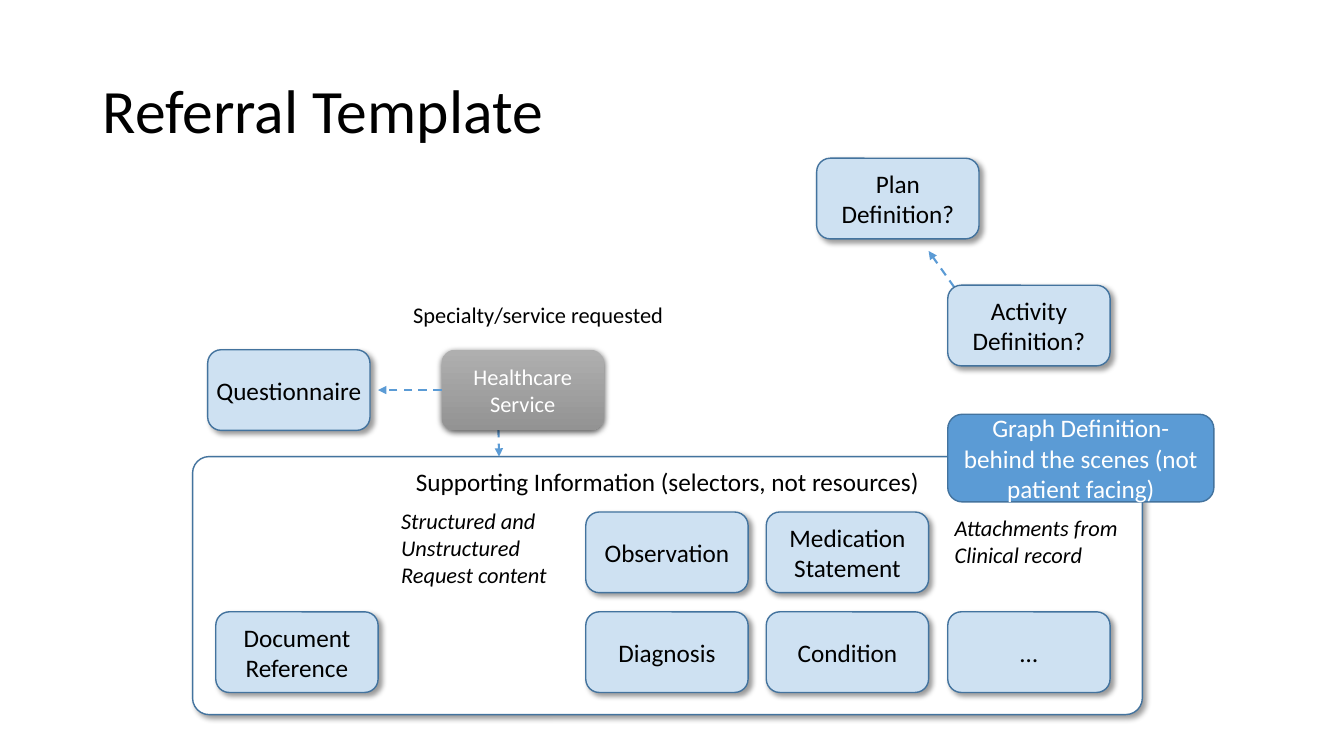
from lxml.etree import SubElement
from pptx import Presentation
from pptx.dml.color import RGBColor
from pptx.enum.dml import MSO_LINE_DASH_STYLE as Dash
from pptx.enum.shapes import MSO_CONNECTOR_TYPE as Connector, MSO_SHAPE as Shape
from pptx.enum.text import MSO_ANCHOR as Anchor, PP_ALIGN as Align
from pptx.oxml.ns import qn
from pptx.util import Inches, Pt

BLACK = RGBColor(0x00, 0x00, 0x00)
WHITE = RGBColor(0xFF, 0xFF, 0xFF)
PALE_BLUE = RGBColor(0xCE, 0xE1, 0xF2)
BLUE = RGBColor(0x5B, 0x9B, 0xD5)
DARK_BLUE = RGBColor(0x43, 0x73, 0x9E)
LIGHT_GRAY = RGBColor(0xAF, 0xAF, 0xAF)
DARK_GRAY = RGBColor(0x93, 0x93, 0x93)

FONT = "Calibri"
BOX_SIZE = (1.61, 0.8)
SOFT_SHADOW = {"blur": 4, "distance": 3, "angle": 45, "alpha": 40}
DEEP_SHADOW = {"blur": 4.5, "distance": 1.5, "angle": 90, "alpha": 63}


def write_text(shape, lines, size, color=BLACK, italic=False, align=Align.LEFT,
               frame_format=None):
    """Fill a shape with one formatted paragraph per line."""
    frame = shape.text_frame
    for name, value in {"word_wrap": True, **(frame_format or {})}.items():
        setattr(frame, name, value)
    frame.text = "\n".join(lines)
    font_format = {"name": FONT, "size": Pt(size), "italic": italic}
    for paragraph in frame.paragraphs:
        paragraph.alignment = align
        font = paragraph.runs[0].font
        for name, value in font_format.items():
            setattr(font, name, value)
        font.color.rgb = color


def add_shadow(shape, blur, distance, angle, alpha):
    """Give a shape a black outer shadow."""
    effects = shape._element.spPr.find(qn("a:effectLst"))
    shadow = SubElement(effects, qn("a:outerShdw"), {
        "blurRad": str(Pt(blur)), "dist": str(Pt(distance)),
        "dir": str(angle * 60000), "algn": "tl", "rotWithShape": "0"})
    color = SubElement(shadow, qn("a:srgbClr"), val=str(BLACK))
    SubElement(color, qn("a:alpha"), val=str(alpha * 1000))


def add_box(slide, box, text, fill=PALE_BLUE, size=18, color=BLACK, outline=DARK_BLUE,
            shadow=SOFT_SHADOW, corner=None, anchor=Anchor.MIDDLE, side=0.1):
    """Add a rounded box with centred text."""
    shape = slide.shapes.add_shape(Shape.ROUNDED_RECTANGLE, *map(Inches, box))
    shape.shadow.inherit = False
    if shadow:
        add_shadow(shape, **shadow)
    if corner:
        shape.adjustments[0] = corner
    if isinstance(fill, tuple) and not isinstance(fill, RGBColor):
        shape.fill.gradient()
        shape.fill.gradient_angle = 270
        for stop, shade in zip(shape.fill.gradient_stops, fill):
            stop.color.rgb = shade
    else:
        shape.fill.solid()
        shape.fill.fore_color.rgb = fill
    if outline:
        shape.line.color.rgb = outline
        shape.line.width = Pt(1)
    else:
        shape.line.fill.background()
    frame_format = {"vertical_anchor": anchor, "margin_left": Inches(side),
                    "margin_right": Inches(side)}
    write_text(shape, [text], size, color, align=Align.CENTER, frame_format=frame_format)


def add_label(slide, box, lines, italic=False):
    """Add a small unwrapped caption."""
    shape = slide.shapes.add_textbox(*map(Inches, box))
    write_text(shape, lines, 16, italic=italic, frame_format={"word_wrap": False})


def add_arrow(slide, start, end):
    """Add a dashed arrow between two points."""
    arrow = slide.shapes.add_connector(Connector.STRAIGHT, *map(Inches, start + end))
    arrow.line.color.rgb = BLUE
    arrow.line.width = Pt(1.5)
    arrow.line.dash_style = Dash.DASH
    SubElement(arrow.line._get_or_add_ln(), qn("a:tailEnd"), type="triangle")
    SubElement(arrow._element.spPr, qn("a:effectLst"))


def add_title(slide, box):
    """Add the slide title."""
    shape = slide.shapes.add_textbox(*map(Inches, box))
    write_text(shape, ["Referral Template"], 44,
               frame_format={"vertical_anchor": Anchor.MIDDLE})
    shape.text_frame.paragraphs[0].line_spacing = 0.9


def add_supporting_information(slide, box):
    """Add the panel of selectors with its boxes and captions."""
    left, top = box[:2]
    add_box(slide, box, "Supporting Information (selectors, not resources)",
            fill=WHITE, corner=0.064, anchor=Anchor.TOP)
    add_label(slide, (left + 1.97, top + 0.45, 1.69, 0.91),
              ["Structured and", "Unstructured", "Request content"], italic=True)
    add_label(slide, (left + 7.46, top + 0.52, 1.85, 0.64),
              ["Attachments from", "Clinical record"], italic=True)
    columns = (0.23, 3.9, 5.69, 7.49)
    rows = (0.55, 1.54)
    selectors = ((None, "Observation", "Medication Statement", None),
                 ("Document Reference", "Diagnosis", "Condition", "…"))
    for y, names in zip(rows, selectors):
        for x, name in zip(columns, names):
            if name:
                add_box(slide, (left + x, top + y, *BOX_SIZE), name)


def add_service_request(slide, box):
    """Add the requested service with its questionnaire and arrows."""
    left, top, width, height = box
    middle = top + height / 2
    add_arrow(slide, (left + 0.56, top + 0.64), (left + 0.57, top + 1.06))
    add_label(slide, (left - 0.38, top - 0.53, 2.71, 0.37), ["Specialty/service requested"])
    add_box(slide, (left - 2.32, top, width, height), "Questionnaire", side=0.04)
    add_box(slide, box, "Healthcare Service", fill=(LIGHT_GRAY, DARK_GRAY), size=16,
            color=WHITE, outline=None, shadow=DEEP_SHADOW)
    add_arrow(slide, (left, middle), (left - 0.63, middle))


def add_definitions(slide, box):
    """Add the plan, activity and graph definitions."""
    left, top, width, height = box
    add_box(slide, box, "Plan Definition?")
    add_arrow(slide, (left + 1.45, top + 1.4), (left + 1.11, top + 0.92))
    add_box(slide, (left + 1.3, top + 1.26, width, height), "Activity Definition?")
    add_box(slide, (left + 1.3, top + 2.54, 2.64, 0.87),
            "Graph Definition- behind the scenes (not patient facing)",
            fill=BLUE, color=WHITE, shadow=None)


def main():
    """Build and save the slide."""
    presentation = Presentation()
    presentation.slide_width = Inches(13.33)
    presentation.slide_height = Inches(7.5)
    slide = presentation.slides.add_slide(presentation.slide_layouts[6])
    add_title(slide, (0.92, 0.4, 4.66, 1.45))
    add_supporting_information(slide, (1.91, 4.53, 9.42, 2.56))
    add_service_request(slide, (4.38, 3.47, *BOX_SIZE))
    add_definitions(slide, (8.1, 1.57, *BOX_SIZE))
    presentation.save("out.pptx")


if __name__ == "__main__":
    main()
